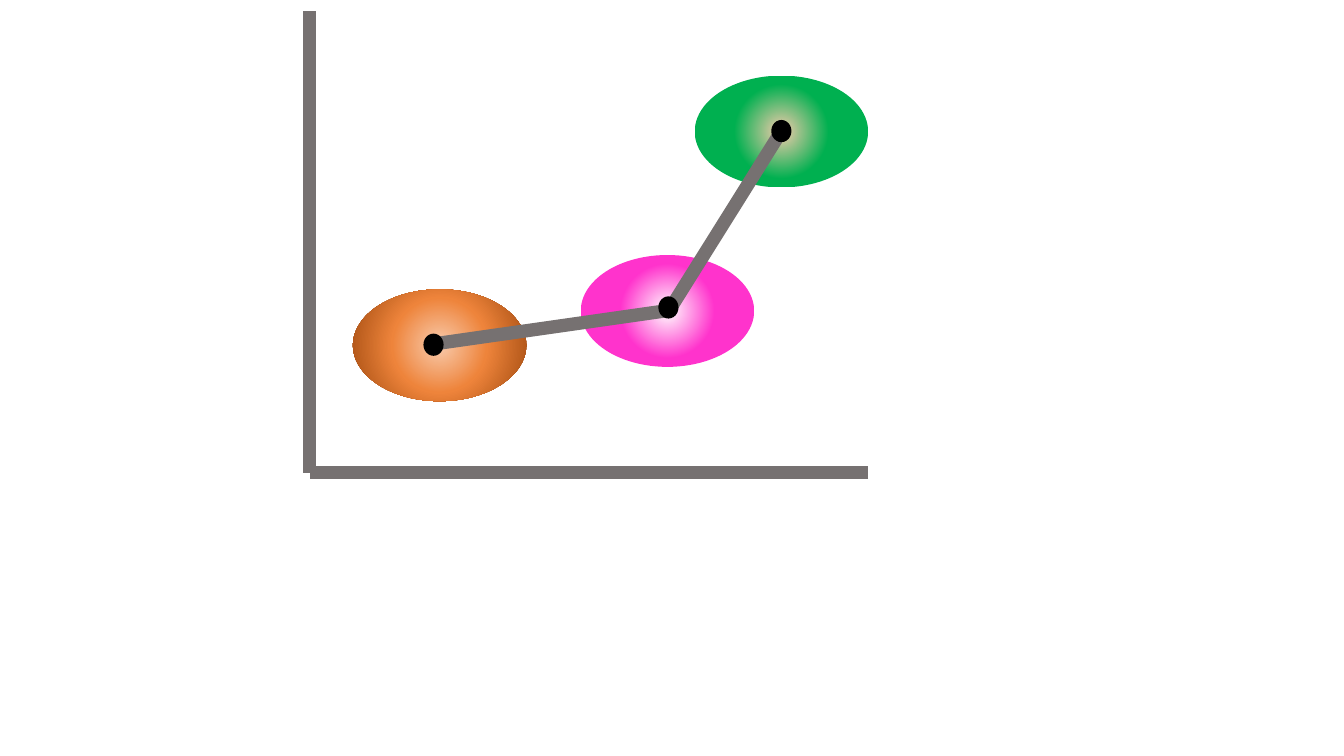
from lxml.etree import SubElement
from pptx import Presentation
from pptx.dml.color import RGBColor
from pptx.enum.shapes import MSO_CONNECTOR, MSO_SHAPE
from pptx.oxml import parse_xml
from pptx.oxml.ns import nsdecls, qn
from pptx.util import Inches, Pt

COLORS = {
    "line": "767171", "dot": "000000", "white": "FFFFFF", "pink": "FF33CC",
    "peach": "F8CBAD", "orange": "EE843B", "brown": "9E480E", "green": "00B050",
}
CLUSTER_SIZE = (1.72, 1.11)
DOT_SIZE = (0.2, 0.22)
CLUSTERS = [
    (5.76, 2.53, ("white", "pink", "pink")),
    (3.5, 2.87, ("peach", "orange", "brown")),
    (6.89, 0.75, ("peach", "green", "green")),
]
ORIGIN = (3.07, 4.69)
LINES = [
    ((3.07, 0.11), ORIGIN),
    ((8.61, 4.69), ORIGIN),
    ((6.63, 3.08), (4.25, 3.42)),
    ((7.75, 1.3), (6.63, 3.09)),
]
DOTS = [(4.2, 3.31), (6.53, 2.94), (7.65, 1.19)]


def add_ellipse(slide, left, top, size):
    """Add an ellipse without outline or shadow."""
    ellipse = slide.shapes.add_shape(
        MSO_SHAPE.OVAL, *(Inches(length) for length in (left, top, *size)))
    ellipse.shadow.inherit = False
    ellipse.line.fill.background()
    return ellipse


def add_cluster(slide, left, top, tones):
    """Add an ellipse shaded outwards from its centre."""
    cluster = add_ellipse(slide, left, top, CLUSTER_SIZE)
    cluster.fill.gradient()
    stops = "".join(
        f'<a:gs pos="{percent * 1000}"><a:srgbClr val="{COLORS[tone]}"/></a:gs>'
        for percent, tone in zip((0, 46, 100), tones))
    radial = parse_xml(
        f'<a:gradFill {nsdecls("a")} rotWithShape="1"><a:gsLst>{stops}</a:gsLst>'
        '<a:path path="circle">'
        '<a:fillToRect l="50000" t="50000" r="50000" b="50000"/>'
        '</a:path></a:gradFill>')
    properties = cluster._element.spPr
    properties.replace(properties.find(qn("a:gradFill")), radial)


def add_line(slide, start, end):
    """Add a thick grey line between two points."""
    line = slide.shapes.add_connector(
        MSO_CONNECTOR.STRAIGHT, *(Inches(length) for length in (*start, *end)))
    line.line.color.rgb = RGBColor.from_string(COLORS["line"])
    line.line.width = Pt(9.5)
    SubElement(line._element.spPr, qn("a:effectLst"))


def add_dot(slide, left, top):
    """Add a black dot at a joint of the path."""
    dot = add_ellipse(slide, left, top, DOT_SIZE)
    dot.fill.solid()
    dot.fill.fore_color.rgb = RGBColor.from_string(COLORS["dot"])


def main():
    """Build the slide of three clusters joined by a path."""
    deck = Presentation()
    deck.slide_width, deck.slide_height = Inches(13.33), Inches(7.5)
    slide = deck.slides.add_slide(deck.slide_layouts[6])
    for left, top, tones in CLUSTERS:
        add_cluster(slide, left, top, tones)
    for start, end in LINES:
        add_line(slide, start, end)
    for left, top in DOTS:
        add_dot(slide, left, top)
    deck.save("out.pptx")


main()
